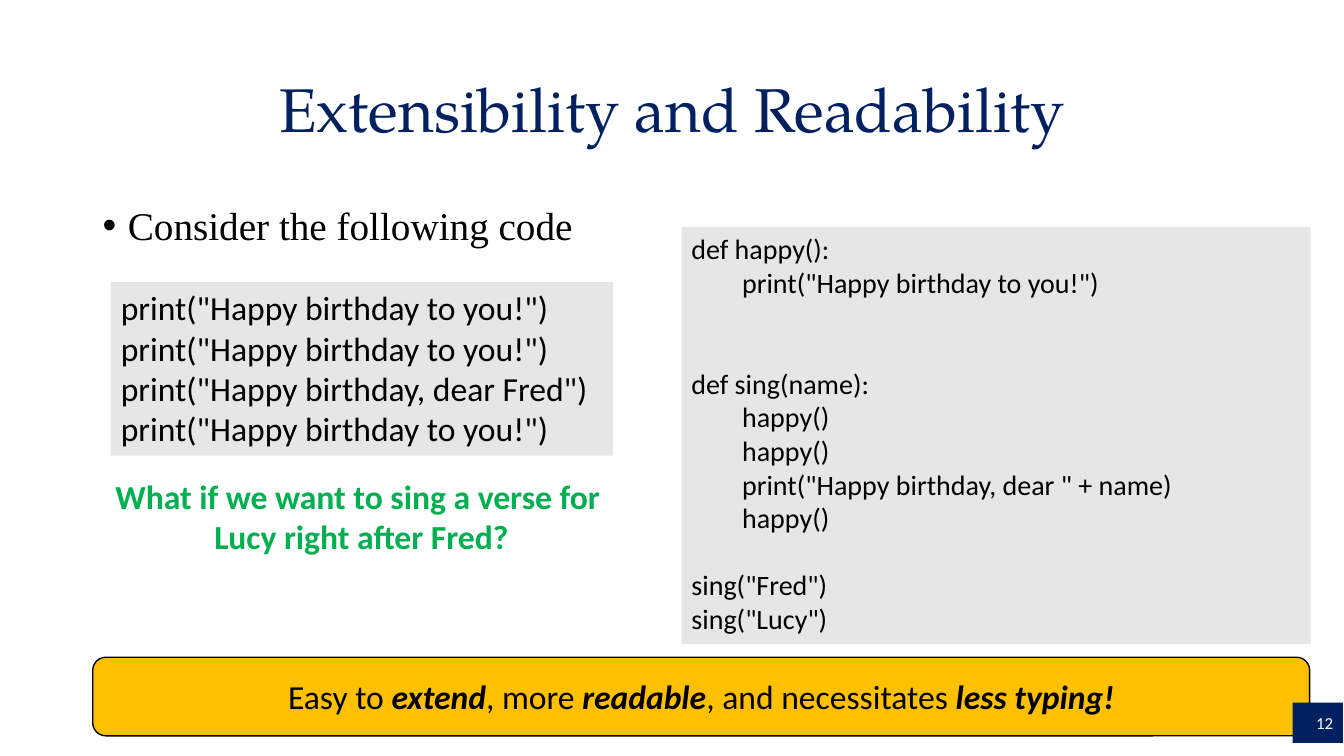
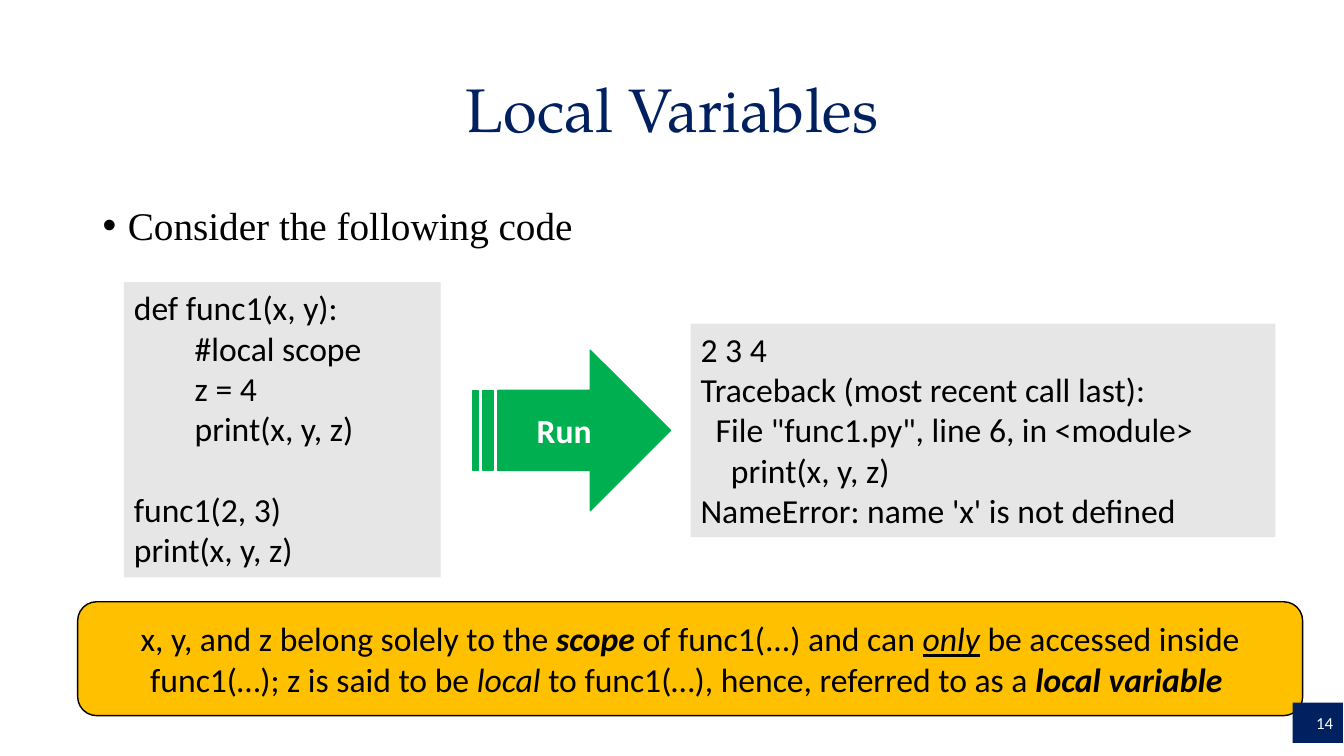
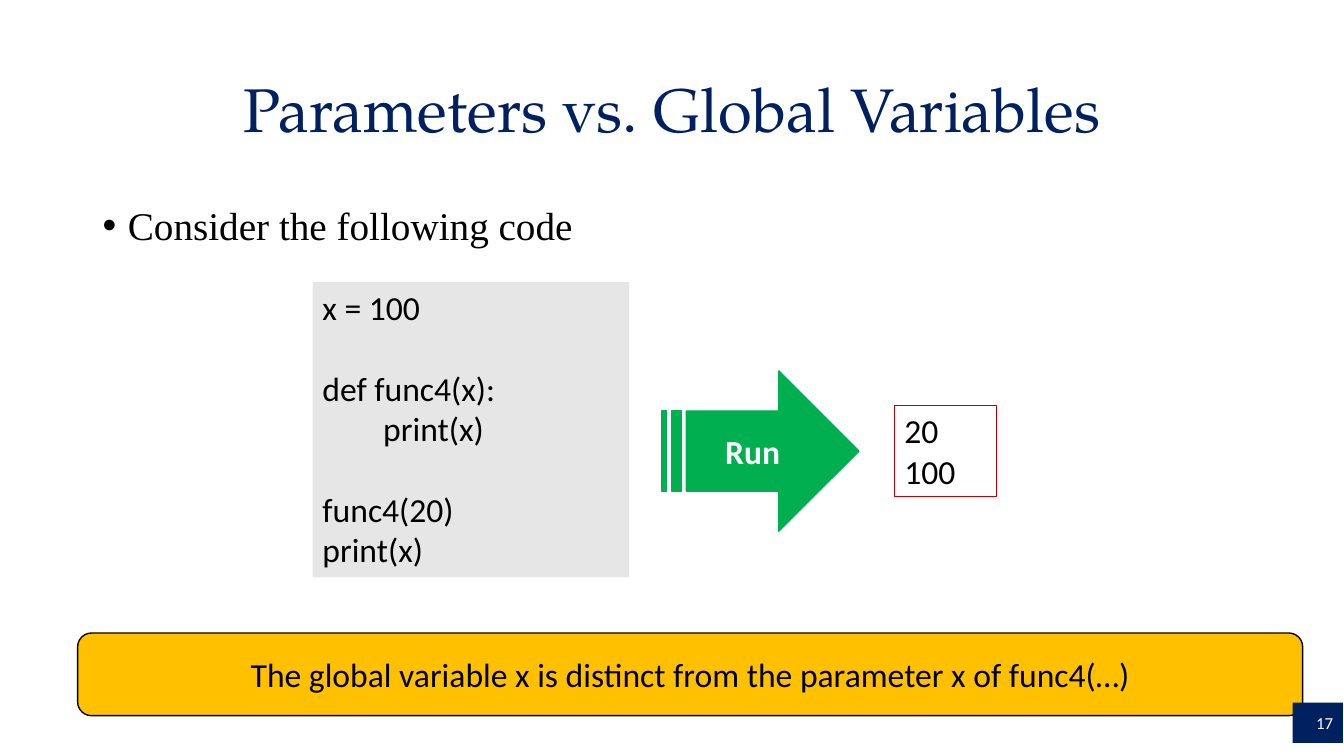
from dataclasses import dataclass

from lxml import etree
from pptx import Presentation
from pptx.dml.color import RGBColor
from pptx.enum.shapes import MSO_SHAPE
from pptx.enum.text import MSO_ANCHOR, MSO_AUTO_SIZE, PP_ALIGN
from pptx.oxml.ns import qn
from pptx.util import Inches, Pt


@dataclass(frozen=True)
class Theme:
    navy: str = "002060"
    black: str = "000000"
    white: str = "FFFFFF"
    panel: str = "E7E6E6"
    gold: str = "FFC000"
    green: str = "00B050"
    red: str = "C00000"
    title_font: str = "TeX Gyre Pagella"
    bullet_font: str = "Times New Roman"
    text_font: str = "Calibri"
    title_size: int = 44
    bullet_size: int = 28
    text_size: int = 24
    small_code_size: int = 20
    number_size: int = 12


THEME = Theme()


@dataclass(frozen=True)
class Box:
    left: float
    top: float
    width: float
    height: float

    @property
    def right(self):
        return self.left + self.width

    @property
    def middle(self):
        return self.top + self.height / 2

    def lengths(self):
        return [Inches(value) for value in (self.left, self.top, self.width, self.height)]


TITLE_BOX = Box(0.92, 0.39, 11.5, 1.45)
BULLET_BOX = Box(0.92, 2, 11.5, 0.6)
NUMBER_BOX = Box(12.82, 6.97, 0.5, 0.4)
ARROW_WIDTH, ARROW_HEIGHT, ARROW_GAP = 1.96, 1.59, 0.32

SONG = '''print("Happy birthday to you!")
print("Happy birthday to you!")
print("Happy birthday, dear Fred")
print("Happy birthday to you!")'''

SONG_FUNCTIONS = '''def happy():
        print("Happy birthday to you!")


def sing(name):
        happy()
        happy()
        print("Happy birthday, dear " + name)
        happy()

sing("Fred")
sing("Lucy")'''

LOCAL_CODE = '''def func1(x, y):
        #local scope
        z = 4
        print(x, y, z)

func1(2, 3)
print(x, y, z)'''

LOCAL_OUTPUT = '''2 3 4
Traceback (most recent call last):
  File "func1.py", line 6, in <module>
    print(x, y, z)
NameError: name 'x' is not defined'''

GLOBAL_CODE = '''x = 100

def func4(x):
        print(x)

func4(20)
print(x)'''


def set_font(font, color, size, name=THEME.text_font, **styles):
    font.color.rgb = RGBColor.from_string(color)
    formats = {"size": Pt(size), "name": name, **styles}
    for attribute, value in formats.items():
        setattr(font, attribute, value)


def write(shape, paragraphs, color=THEME.black, size=THEME.text_size, name=THEME.text_font,
          align=PP_ALIGN.LEFT, anchor=MSO_ANCHOR.TOP, wrap=True, spacing=None):
    """Fill a shape; each paragraph is a list of (text, styles), styles being letters of "biu"."""
    frame = shape.text_frame
    settings = {"auto_size": MSO_AUTO_SIZE.NONE, "word_wrap": wrap, "vertical_anchor": anchor}
    for attribute, value in settings.items():
        setattr(frame, attribute, value)
    for index, spans in enumerate(paragraphs):
        para = frame.add_paragraph() if index else frame.paragraphs[0]
        para.alignment = align
        para.line_spacing = spacing
        for text, styles in spans:
            span = para.add_run()
            span.text = text
            set_font(span.font, color, size, name, bold="b" in styles,
                     italic="i" in styles, underline="u" in styles)
        if not spans:
            etree.SubElement(para._p, qn("a:endParaRPr"), sz=str(size * 100))


def add_block(page, kind, box, fill=None, line=None, line_width=1):
    shape = page.shapes.add_shape(kind, *box.lengths())
    shape.shadow.inherit = False
    if fill:
        shape.fill.solid()
        shape.fill.fore_color.rgb = RGBColor.from_string(fill)
    else:
        shape.fill.background()
    if line:
        shape.line.color.rgb = RGBColor.from_string(line)
        shape.line.width = Pt(line_width)
    else:
        shape.line.fill.background()
    return shape


def add_title(page, text):
    title = page.shapes.title
    title.left, title.top, title.width, title.height = TITLE_BOX.lengths()
    write(title, [[(text, "")]], THEME.navy, THEME.title_size, THEME.title_font,
          PP_ALIGN.CENTER, MSO_ANCHOR.MIDDLE, spacing=0.9)


def add_bullet(page, text):
    shape = page.shapes.add_textbox(*BULLET_BOX.lengths())
    properties = shape.text_frame.paragraphs[0]._p.get_or_add_pPr()
    properties.set("marL", str(Inches(0.25)))
    properties.set("indent", str(Inches(-0.25)))
    etree.SubElement(properties, qn("a:buFont"), typeface="Arial")
    etree.SubElement(properties, qn("a:buChar"), char="•")
    write(shape, [[(text, "")]], size=THEME.bullet_size, name=THEME.bullet_font, spacing=0.9)


def add_code(page, box, code, size=THEME.text_size, fill=THEME.panel, line=None):
    shape = add_block(page, MSO_SHAPE.RECTANGLE, box, fill, line, 0.75)
    write(shape, [[(text, "")] if text else [] for text in code.split("\n")], size=size)


def add_run(page, code_box, code, output_box, output, **output_style):
    """Code, its output, and the Run arrow after the code, level with the output."""
    add_code(page, code_box, code)
    arrow_box = Box(code_box.right + ARROW_GAP, output_box.middle - ARROW_HEIGHT / 2,
                    ARROW_WIDTH, ARROW_HEIGHT)
    arrow = add_block(page, MSO_SHAPE.STRIPED_RIGHT_ARROW, arrow_box, THEME.green, THEME.green)
    write(arrow, [[("Run", "b")]], THEME.white, align=PP_ALIGN.CENTER, anchor=MSO_ANCHOR.MIDDLE)
    add_code(page, output_box, output, **output_style)


def add_takeaway(page, box, spans):
    shape = add_block(page, MSO_SHAPE.ROUNDED_RECTANGLE, box, THEME.gold, THEME.black)
    write(shape, [spans], align=PP_ALIGN.CENTER, anchor=MSO_ANCHOR.MIDDLE)


def add_question(page, box, lines):
    shape = page.shapes.add_textbox(*box.lengths())
    write(shape, [[(text, "b")] for text in lines], THEME.green,
          align=PP_ALIGN.CENTER, wrap=False)


def add_number(page, number):
    shape = add_block(page, MSO_SHAPE.RECTANGLE, NUMBER_BOX, THEME.navy)
    write(shape, [[(str(number), "")]], THEME.white, THEME.number_size,
          align=PP_ALIGN.RIGHT, anchor=MSO_ANCHOR.MIDDLE)


def add_page(deck, title):
    page = deck.slides.add_slide(deck.slide_layouts.get_by_name("Title Only"))
    add_title(page, title)
    add_bullet(page, "Consider the following code")
    return page


def build_readability(deck):
    page = add_page(deck, "Extensibility and Readability")
    add_code(page, Box(1.1, 2.8, 4.98, 1.72), SONG)
    add_code(page, Box(6.76, 2.25, 6.24, 4.14), SONG_FUNCTIONS, THEME.small_code_size)
    add_takeaway(page, Box(0.92, 6.52, 12.07, 0.78), [
        ("Easy to ", ""), ("extend", "bi"), (", more ", ""), ("readable", "bi"),
        (", and necessitates ", ""), ("less typing!", "bi")])
    add_question(page, Box(1.02, 4.67, 5.13, 0.91),
                 ["What if we want to sing a verse for ", "Lucy right after Fred?"])
    add_number(page, 12)


def build_local_variables(deck):
    page = add_page(deck, "Local Variables")
    add_run(page, Box(1.23, 2.8, 3.14, 2.93), LOCAL_CODE,
            Box(6.85, 3.21, 5.8, 2.12), LOCAL_OUTPUT)
    add_takeaway(page, Box(0.77, 5.97, 12.15, 1.13), [
        ("x, y, and z belong solely to the ", ""), ("scope", "bi"),
        (" of func1(...) and can ", ""), ("only", "iu"),
        (" be accessed inside func1(…); z is said to be ", ""), ("local", "i"),
        (" to func1(…), hence, referred to as a ", ""), ("local variable ", "bi")])
    add_number(page, 14)


def build_global_variables(deck):
    page = add_page(deck, "Parameters vs. Global Variables")
    add_run(page, Box(3.1, 2.8, 3.14, 2.93), GLOBAL_CODE,
            Box(8.87, 4.02, 1.01, 0.91), "20\n100", fill=None, line=THEME.red)
    add_takeaway(page, Box(0.77, 6.28, 12.15, 0.82), [
        ("The global variable x is distinct from the parameter x of func4(…)", "")])
    add_number(page, 17)


def main():
    deck = Presentation()
    deck.slide_width, deck.slide_height = Inches(13.33), Inches(7.5)
    for build in (build_readability, build_local_variables, build_global_variables):
        build(deck)
    deck.save("out.pptx")


if __name__ == "__main__":
    main()
